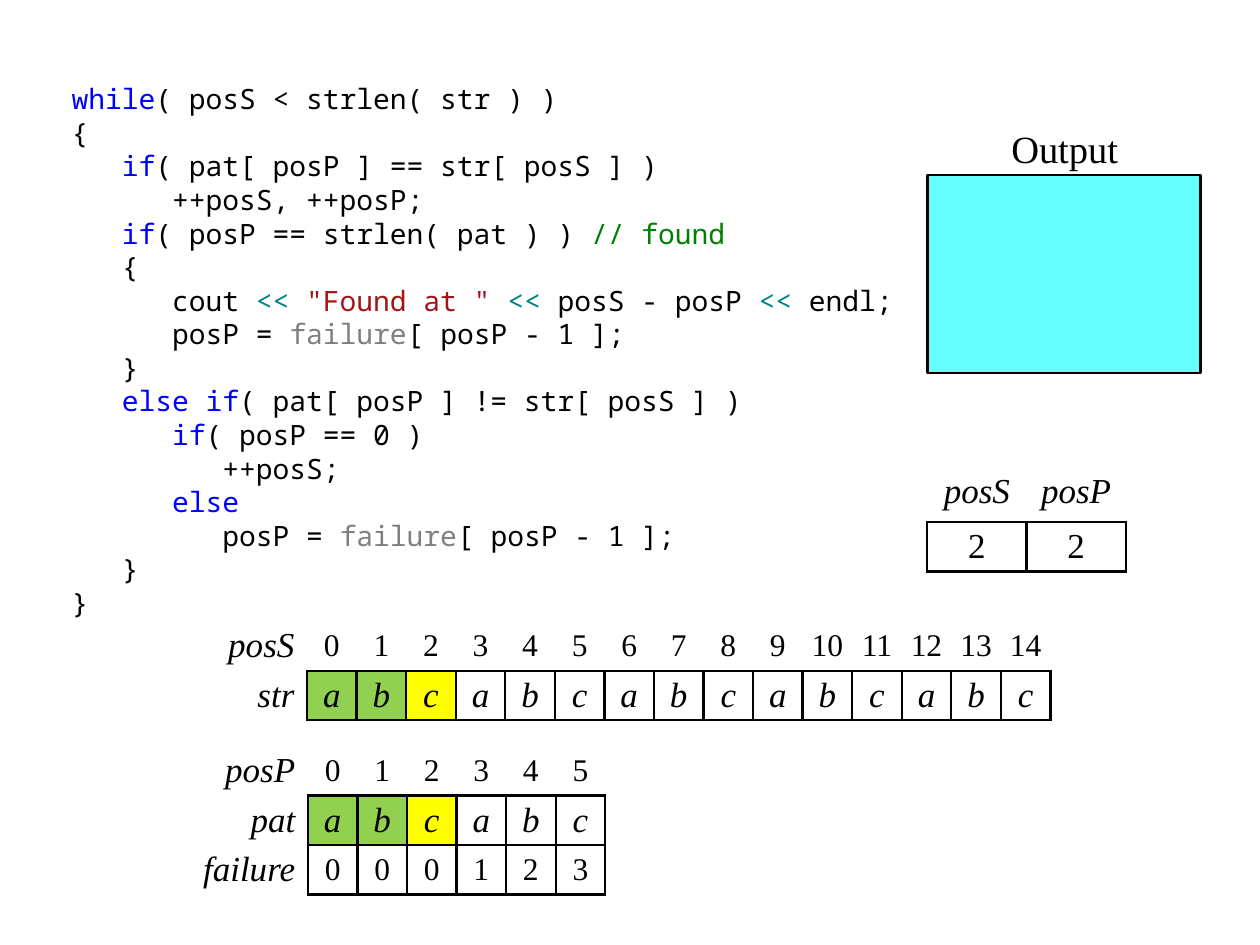
"""Build a slide tracing a string search with a failure table."""
from lxml.etree import SubElement
from pptx import Presentation
from pptx.dml.color import RGBColor
from pptx.enum.shapes import MSO_SHAPE
from pptx.enum.text import MSO_ANCHOR, PP_ALIGN
from pptx.oxml import parse_xml
from pptx.oxml.ns import nsdecls, qn
from pptx.util import Inches, Pt

COLORS = {
    "text": "000000", "keyword": "0000FF", "comment": "008000",
    "operator": "008080", "string": "A31515", "array": "808080",
    "matched": "92D050", "current": "FFFF00", "screen": "66FFFF",
}
CODE_FONT, TEXT_FONT = "Noto Sans Mono", "Times New Roman"
NO_STYLE = "{2D5ABB26-0587-4C30-8999-92F81FD0307C}"
CELL = 6.69 / 17

CODE = [
    [("while", "keyword"), ("( posS < strlen( str ) )", "text")],
    [("{", "text")],
    [("   ", "text"), ("if", "keyword"), ("( pat[ posP ] == str[ posS ] )", "text")],
    [("      ++posS, ++posP;", "text")],
    [("   ", "text"), ("if", "keyword"), ("( posP == strlen( pat ) ) ", "text"),
     ("// found", "comment")],
    [("   {", "text")],
    [("      cout ", "text"), ("<< ", "operator"), ('"Found at " ', "string"),
     ("<< ", "operator"), ("posS - posP ", "text"), ("<< ", "operator"), ("endl;", "text")],
    [("      posP = ", "text"), ("failure", "array"), ("[ posP - 1 ];", "text")],
    [("   }", "text")],
    [("   ", "text"), ("else if", "keyword"), ("( pat[ posP ] != str[ posS ] )", "text")],
    [("      ", "text"), ("if", "keyword"), ("( posP == 0 )", "text")],
    [("         ++posS;", "text")],
    [("      ", "text"), ("else", "keyword")],
    [("         posP = ", "text"), ("failure", "array"), ("[ posP - 1 ];", "text")],
    [("   }", "text")],
    [("}", "text")],
]
INDEX = {"size": 18, "italic": False, "boxed": False, "marks": []}
LETTERS = {"size": 20, "italic": True, "boxed": True,
           "marks": ["matched", "matched", "current"]}
NUMBERS = {"size": 18, "italic": False, "boxed": True, "marks": []}
NAMES = {"size": 20, "italic": True, "boxed": False, "marks": []}
VALUES = {"size": 20, "italic": False, "boxed": True, "marks": []}

TABLES = [
    {"left": 1.65, "top": 4.93, "label_width": 2 * CELL, "width": CELL, "margin": 0.04,
     "rows": [("posS", [str(n) for n in range(15)], INDEX),
              ("str", list("abc" * 5), LETTERS)]},
    {"left": 7.36, "top": 3.75, "label_width": 0, "width": 2 * CELL, "margin": 0.08,
     "rows": [("", ["posS", "posP"], NAMES),
              ("", ["2", "2"], VALUES)]},
    {"left": 1.46, "top": 5.92, "label_width": 2.5 * CELL, "width": CELL, "margin": 0.1,
     "rows": [("posP", list("012345"), INDEX),
              ("pat", list("abcabc"), LETTERS),
              ("failure", list("000123"), NUMBERS)]},
]


def rgb(name):
    return RGBColor.from_string(COLORS[name])


def set_font(r, font, size, color="text", italic=False):
    r.font.name = font
    r.font.size = Pt(size)
    r.font.italic = italic
    r.font.color.rgb = rgb(color)


def add_text_frame(s, left, top, width, height, margins):
    tf = s.shapes.add_textbox(*map(Inches, (left, top, width, height))).text_frame
    tf.word_wrap = True
    tf.margin_left, tf.margin_top, tf.margin_right, tf.margin_bottom = map(Inches, margins)
    return tf


def add_code(s):
    tf = add_text_frame(s, 0.47, 0.6, 6.69, 4.33, (0.1, 0.05, 0.04, 0.05))
    for i, line in enumerate(CODE):
        p = tf.add_paragraph() if i else tf.paragraphs[0]
        p.line_spacing = Pt(19.2)
        for text, color in line:
            r = p.add_run()
            r.text = text
            set_font(r, CODE_FONT, 16, color)


def add_borders(cell):
    tc_pr = cell._tc.get_or_add_tcPr()
    for i, side in enumerate(("lnL", "lnR", "lnT", "lnB")):
        ln = parse_xml(f'<a:{side} {nsdecls("a")} w="{Pt(1.5)}"/>')
        fill = SubElement(ln, qn("a:solidFill"))
        SubElement(fill, qn("a:srgbClr"), val=COLORS["text"])
        tc_pr.insert(i, ln)


def fill_cell(cell, text, margin, align, size, italic):
    cell.margin_left = cell.margin_right = Inches(margin)
    cell.margin_top = cell.margin_bottom = 0
    cell.vertical_anchor = MSO_ANCHOR.MIDDLE
    cell.fill.background()
    p = cell.text_frame.paragraphs[0]
    p.text = text
    p.alignment = align
    set_font(p.runs[0], TEXT_FONT, size, italic=italic)


def add_trace_table(s, left, top, label_width, width, margin, rows):
    first = 1 if label_width else 0
    widths = [label_width] * first + [width] * len(rows[0][1])
    frame = s.shapes.add_table(len(rows), len(widths), Inches(left), Inches(top),
                               Inches(sum(widths)), Inches(CELL * len(rows)))
    table = frame.table
    table.first_row = table.horz_banding = False
    table._tbl.tblPr.find(qn("a:tableStyleId")).text = NO_STYLE
    for column, column_width in zip(table.columns, widths):
        column.width = Inches(column_width)
    for y, (label, values, style) in enumerate(rows):
        table.rows[y].height = Inches(CELL)
        if label:
            fill_cell(table.cell(y, 0), label, 0.1, PP_ALIGN.RIGHT, 20, True)
        for x, value in enumerate(values):
            cell = table.cell(y, x + first)
            fill_cell(cell, value, margin, PP_ALIGN.CENTER, style["size"], style["italic"])
            if style is NAMES:
                cell.vertical_anchor = MSO_ANCHOR.TOP
                cell.margin_left = cell.margin_right = 0
            if x < len(style["marks"]):
                cell.fill.solid()
                cell.fill.fore_color.rgb = rgb(style["marks"][x])
            if style["boxed"]:
                add_borders(cell)


def add_output(s):
    sp = s.shapes.add_shape(MSO_SHAPE.RECTANGLE, *map(Inches, (7.36, 1.39, 2.17, 1.57)))
    sp.shadow.inherit = False
    sp.fill.solid()
    sp.fill.fore_color.rgb = rgb("screen")
    sp.line.color.rgb = rgb("text")
    sp.line.width = Pt(1.5)
    p = add_text_frame(s, 7.76, 0.99, 1.38, 0.39, (0.1, 0, 0.1, 0.05)).paragraphs[0]
    p.text = "Output"
    p.alignment = PP_ALIGN.CENTER
    set_font(p.runs[0], TEXT_FONT, 22)


def main():
    prs = Presentation()
    prs.slide_width, prs.slide_height = Inches(10), Inches(7.5)
    s = prs.slides.add_slide(prs.slide_layouts[6])
    add_code(s)
    for table in TABLES:
        add_trace_table(s, **table)
    add_output(s)
    prs.save("out.pptx")


if __name__ == "__main__":
    main()
